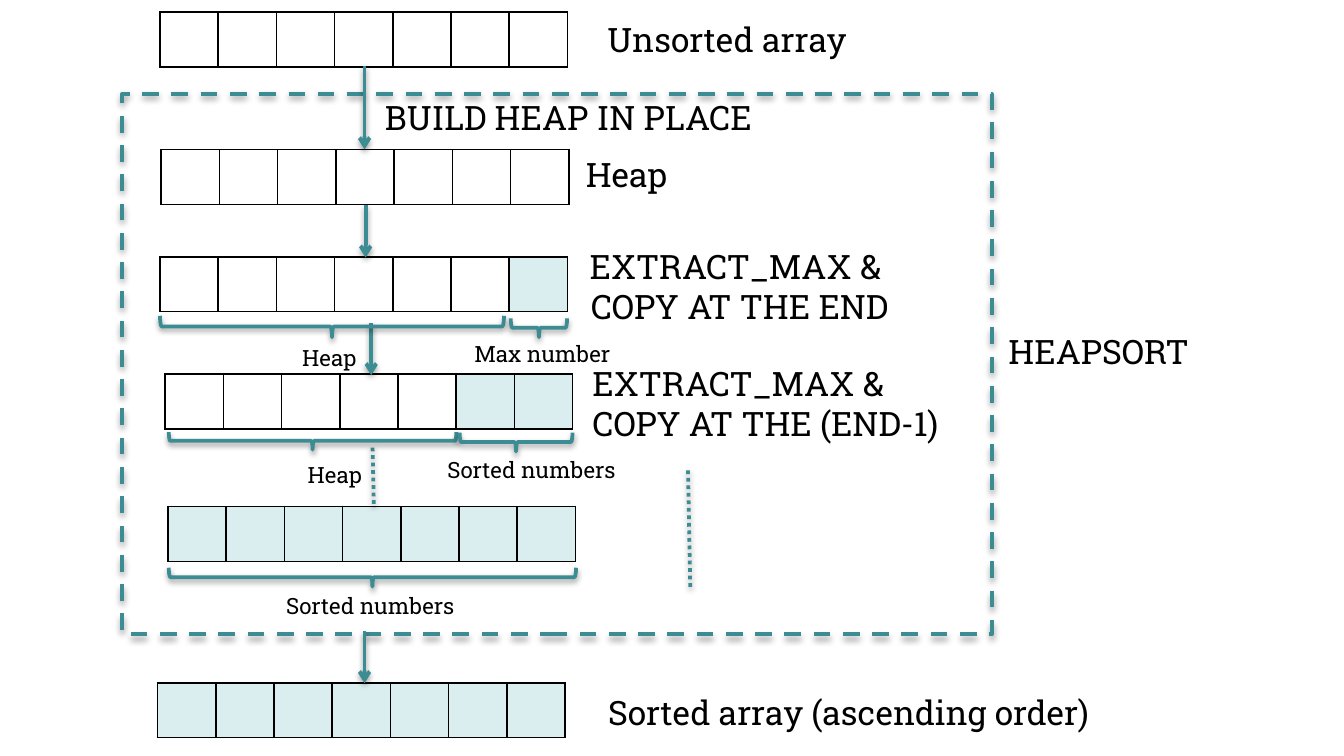
from lxml import etree
from pptx import Presentation
from pptx.dml.color import RGBColor
from pptx.enum.dml import MSO_LINE
from pptx.enum.shapes import MSO_CONNECTOR, MSO_SHAPE
from pptx.enum.text import MSO_ANCHOR, MSO_AUTO_SIZE, PP_ALIGN
from pptx.oxml.ns import qn
from pptx.util import Pt

TEAL = RGBColor(0x3C, 0x8C, 0x93)
PALE = RGBColor(0xDA, 0xED, 0xEF)
BLACK = RGBColor(0, 0, 0)
FONT = "Roboto Slab"
LEFT, MID = PP_ALIGN.LEFT, PP_ALIGN.CENTER
DASH, DOT = MSO_LINE.DASH, MSO_LINE.ROUND_DOT
SQUARE = MSO_LINE.SQUARE_DOT
STRAIGHT = MSO_CONNECTOR.STRAIGHT
BOX, BRACE = MSO_SHAPE.RECTANGLE, MSO_SHAPE.RIGHT_BRACE

CELLS, CELL_W, CELL_H = 7, 31.2, 29.4

# left, top, number of sorted cells at the end
ARRAYS = [
    (85.7, 6.4, 0),
    (86.4, 80.2, 0),
    (85.7, 137.6, 1),
    (88.5, 200.3, 2),
    (90, 271.4, 7),
    (84.4, 365.8, 7),
]

FRAME = (65.5, 50.4, 465.8, 289.4)

# x, top, bottom
ARROWS = [
    (195.3, 35.5, 80),
    (195.9, 110, 138),
    (198.9, 173, 201),
    (195.3, 338, 366),
]

# start x, start y, end x, end y
DOTS = [(199.6, 239.8, 200.3, 272), (368.6, 252, 369.8, 314.6)]

# left, top, width, height
BRACES = [
    (85.7, 169.2, 184.3, 11.5),
    (273.6, 170.6, 30.2, 10.1),
    (90.4, 231.5, 154.1, 9.4),
    (246.2, 231.8, 60.5, 10.1),
    (90.4, 304.2, 218.2, 10.1),
]

# lines, left, top, width, height, size, alignment
LABELS = [
    (["Unsorted array"], 317.5, 6.5, 144, 29, 18, MID),
    (["BUILD HEAP IN PLACE"], 198.7, 48.4, 211.7, 29, 18, MID),
    (["Heap"], 306.7, 78.7, 58.3, 29, 18, LEFT),
    (["EXTRACT_MAX & ", "COPY AT THE END"], 307.4, 128.2, 177.8, 51, 18, MID),
    (["EXTRACT_MAX &", "COPY AT THE (END-1)"], 310.3, 190.8, 204.5, 72.7, 18, LEFT),
    (["HEAPSORT"], 532.1, 173.5, 113, 29, 18, MID),
    (["Sorted array (ascending order)"], 317.5, 367.2, 274.3, 29, 18, MID),
    (["Heap"], 154.8, 180.7, 43.9, 21.6, 12, LEFT),
    (["Max number"], 247, 178.6, 88.6, 21.6, 12, LEFT),
    (["Heap"], 157.7, 243.4, 43.9, 21.6, 12, LEFT),
    (["Sorted numbers"], 232.6, 240.9, 105.1, 21.6, 12, LEFT),
    (["Sorted numbers"], 146.2, 313.9, 105.1, 21.6, 12, LEFT),
]


def add(parent, tag, **attrs):
    return etree.SubElement(parent, qn(tag), attrs)


def paint(item, width, dash=None, head=False):
    """Give a shape or connector its teal line and soft shadow."""
    item.line.color.rgb = TEAL
    item.line.width = Pt(width)
    if dash:
        item.line.dash_style = dash
    props = item._element.spPr
    if head:
        add(props.find(qn("a:ln")), "a:tailEnd", type="arrow")
    effects = add(props, "a:effectLst")
    shade = add(effects, "a:outerShdw", blurRad="40000", dist="20000",
                dir="5400000", rotWithShape="0")
    add(add(shade, "a:srgbClr", val="000000"), "a:alpha", val="38000")


def edge(cell):
    props = cell._tc.get_or_add_tcPr()
    for side in ("a:lnL", "a:lnR", "a:lnT", "a:lnB"):
        line = add(props, side, w=str(Pt(1)))
        add(add(line, "a:solidFill"), "a:srgbClr", val=str(BLACK))


def add_array(slide, left, top, done):
    table = slide.shapes.add_table(1, CELLS, Pt(left), Pt(top),
                                   Pt(CELLS * CELL_W), Pt(CELL_H)).table
    table.first_row = table.horz_banding = False
    for i in range(CELLS):
        table.columns[i].width = Pt(CELL_W)
        cell = table.cell(0, i)
        cell.margin_top = cell.margin_bottom = 0
        edge(cell)
        if i >= CELLS - done:
            cell.fill.solid()
            cell.fill.fore_color.rgb = PALE
        else:
            cell.fill.background()


def add_line(slide, ends, dash=None, head=False):
    line = slide.shapes.add_connector(STRAIGHT, *map(Pt, ends))
    paint(line, 2, dash, head)


def add_brace(slide, left, top, width, height):
    """Turn a right brace a quarter so that it fills the given area."""
    x = left + (width - height) / 2
    y = top + (height - width) / 2
    brace = slide.shapes.add_shape(BRACE, Pt(x), Pt(y), Pt(height), Pt(width))
    brace.rotation = 90
    brace.fill.background()
    paint(brace, 2)


def add_label(slide, lines, left, top, width, height, size, align):
    box = slide.shapes.add_textbox(Pt(left), Pt(top), Pt(width), Pt(height))
    frame = box.text_frame
    frame.word_wrap = False
    frame.auto_size = MSO_AUTO_SIZE.NONE
    frame.vertical_anchor = MSO_ANCHOR.TOP
    frame.text = "\n".join(lines)
    for para in frame.paragraphs:
        para.alignment = align
        for run in para.runs:
            run.font.name = FONT
            run.font.size = Pt(size)
            run.font.color.rgb = BLACK


def main():
    deck = Presentation()
    deck.slide_width, deck.slide_height = Pt(720), Pt(405)
    slide = deck.slides.add_slide(deck.slide_layouts[6])

    frame = slide.shapes.add_shape(BOX, *map(Pt, FRAME))
    frame.fill.background()
    paint(frame, 2.25, DASH)
    for array in ARRAYS:
        add_array(slide, *array)
    for x, top, bottom in ARROWS:
        add_line(slide, (x, top, x, bottom), head=True)
    for ends in DOTS:
        add_line(slide, ends, DOT)
    for brace in BRACES:
        add_brace(slide, *brace)
    for label in LABELS:
        add_label(slide, *label)
    deck.save("out.pptx")


if __name__ == "__main__":
    main()
